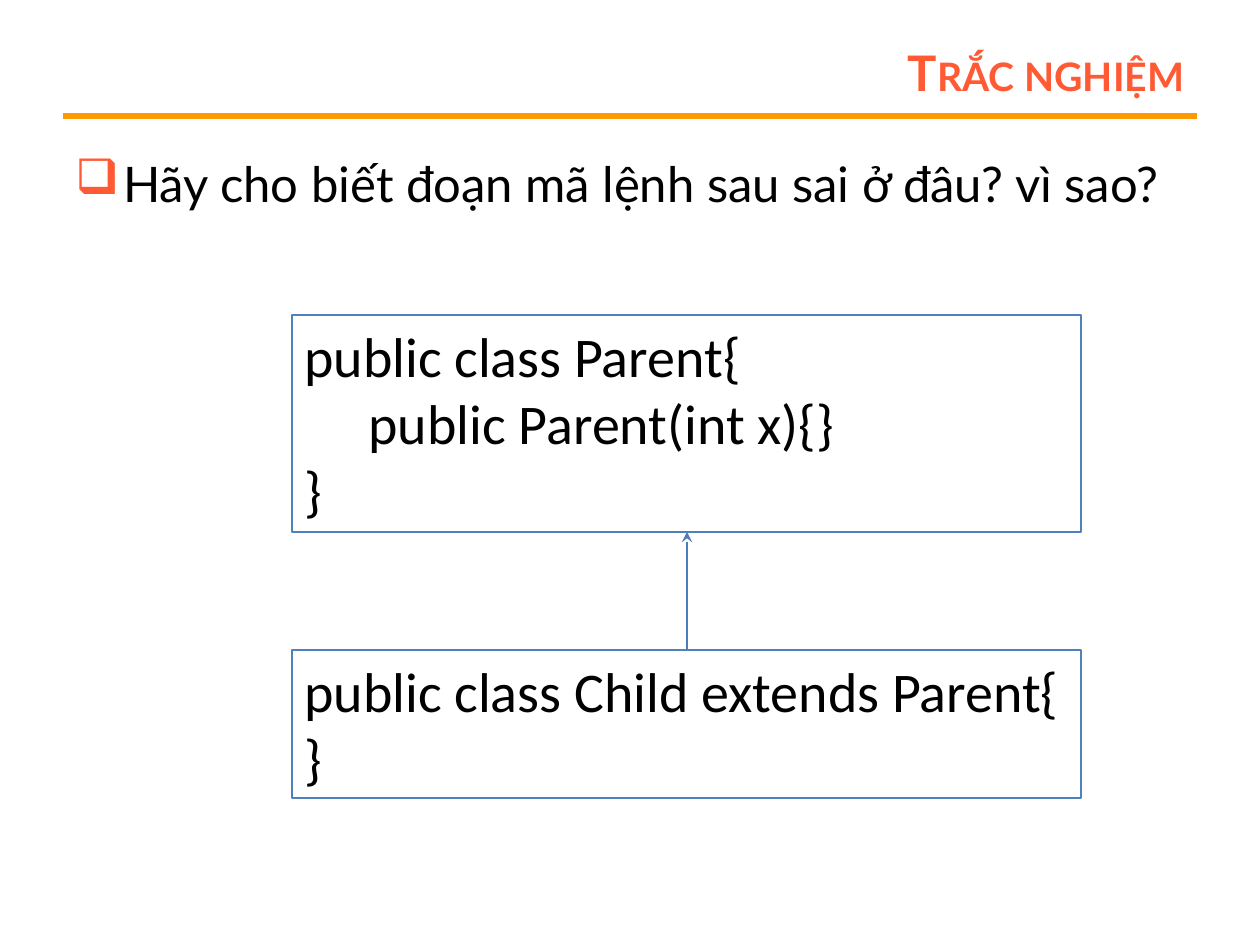
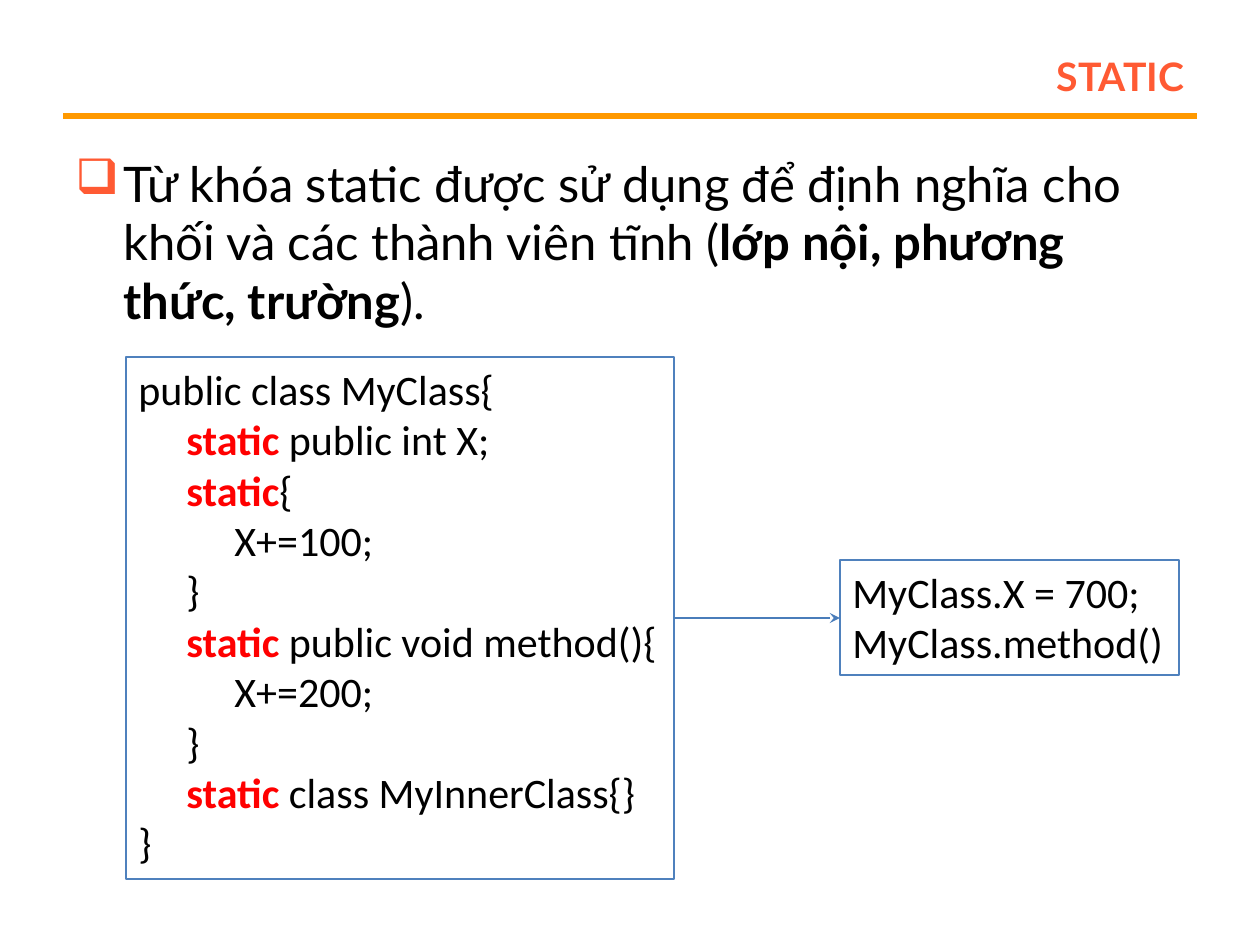
from pptx import Presentation
from pptx.dml.color import RGBColor
from pptx.enum.shapes import MSO_CONNECTOR, MSO_SHAPE
from pptx.enum.text import MSO_ANCHOR, PP_ALIGN
from pptx.oxml.ns import qn
from pptx.util import Emu, Pt
from lxml import etree

STRAIGHT = MSO_CONNECTOR.STRAIGHT
RECTANGLE = MSO_SHAPE.RECTANGLE
TOP, MIDDLE = MSO_ANCHOR.TOP, MSO_ANCHOR.MIDDLE
LEFT, RIGHT = PP_ALIGN.LEFT, PP_ALIGN.RIGHT

ACCENT = "FF5A33"
RULE = "FF9900"
BOX_LINE = "4F81BD"
ARROW = "4A7DBA"
BLACK = "000000"
KEYWORD = "FF0000"
HEADING_FONT, CODE_FONT = "Lato", "Calibri"


def px(length):
    return Emu(round(length * 914400 / 126))


def write(shape, text, size, font, color=BLACK, emphasis=BLACK, bold=False,
          small_caps=False, align=LEFT, anchor=TOP, bullet=None):
    frame = shape.text_frame
    frame.word_wrap = True
    frame.vertical_anchor = anchor
    for number, line in enumerate(text.split("\n")):
        paragraph = frame.paragraphs[0] if number == 0 else frame.add_paragraph()
        paragraph.alignment = align
        properties = paragraph._p.get_or_add_pPr()
        content = line.lstrip("\t")
        depth = len(line) - len(content)
        if depth:
            properties.set("marL", str(px(depth * size * 2)))
        if bullet:
            properties.set("marL", str(px(48)))
            properties.set("indent", str(-px(48)))
            bullet_color = etree.SubElement(properties, qn("a:buClr"))
            etree.SubElement(bullet_color, qn("a:srgbClr"), val=ACCENT)
            etree.SubElement(properties, qn("a:buChar"), char=bullet)
        for part_number, part in enumerate(content.split("**")):
            if not part:
                continue
            emphasized = part_number % 2 == 1
            run = paragraph.add_run()
            run.text = part
            run.font.size = Pt(size)
            run.font.name = font
            run.font.bold = bold or emphasized
            run.font.color.rgb = RGBColor.from_string(emphasis if emphasized else color)
            if small_caps:
                run.font._element.set("cap", "small")


parent_code = """public class Parent{
\tpublic Parent(int x){}
}"""

child_code = """public class Child extends Parent{
}"""

static_code = """public class MyClass{
\t**static** public int X;
\t**static**{
\t\tX+=100;
\t}
\t**static** public void method(){
\t\tX+=200;
\t}
\t**static** class MyInnerClass{}
}"""

usage_code = """MyClass.X = 700;
MyClass.method()"""

slides = [
    {
        "title": "Trắc nghiệm",
        "body": "Hãy cho biết đoạn mã lệnh sau sai ở đâu? vì sao?",
        "body_height": 94,
        "code_size": 32,
        "boxes": [(parent_code, 292, 315, 789, 217), (child_code, 292, 650, 789, 148)],
        "arrow": (687, 650, 687, 532),
    },
    {
        "title": "static",
        "body": "Từ khóa static được sử dụng để định nghĩa cho khối và các thành viên tĩnh "
                "(**lớp nội, phương thức, trường**).",
        "body_height": 199,
        "code_size": 24,
        "boxes": [(static_code, 126, 357, 548, 522), (usage_code, 840, 560, 339, 115)],
        "arrow": (674, 618, 840, 618),
    },
]

presentation = Presentation()
presentation.slide_width = px(1260)
presentation.slide_height = px(945)

for content in slides:
    slide = presentation.slides.add_slide(presentation.slide_layouts[6])

    title = slide.shapes.add_textbox(px(284), px(38), px(913), px(67))
    write(title, content["title"], size=28, font=HEADING_FONT, color=ACCENT, bold=True,
          small_caps=True, align=RIGHT, anchor=MIDDLE)

    body = slide.shapes.add_textbox(px(63), px(147), px(1134), px(content["body_height"]))
    write(body, content["body"], size=28, font=HEADING_FONT, bullet="❑")

    for code, left, top, width, height in content["boxes"]:
        box = slide.shapes.add_shape(RECTANGLE, px(left), px(top), px(width), px(height))
        box.shadow.inherit = False
        box.fill.background()
        box.line.color.rgb = RGBColor.from_string(BOX_LINE)
        box.line.width = Pt(0.75)
        write(box, code, size=content["code_size"], font=CODE_FONT, emphasis=KEYWORD)

    lines = [((63, 116, 1197, 116), RULE, 3, False), (content["arrow"], ARROW, 0.75, True)]
    for ends, color, weight, has_head in lines:
        connector = slide.shapes.add_connector(STRAIGHT, *[px(end) for end in ends])
        connector.line.color.rgb = RGBColor.from_string(color)
        connector.line.width = Pt(weight)
        shape_properties = connector._element.spPr
        if has_head:
            outline = shape_properties.find(qn("a:ln"))
            etree.SubElement(outline, qn("a:tailEnd"), type="stealth")
        etree.SubElement(shape_properties, qn("a:effectLst"))

presentation.save("out.pptx")
